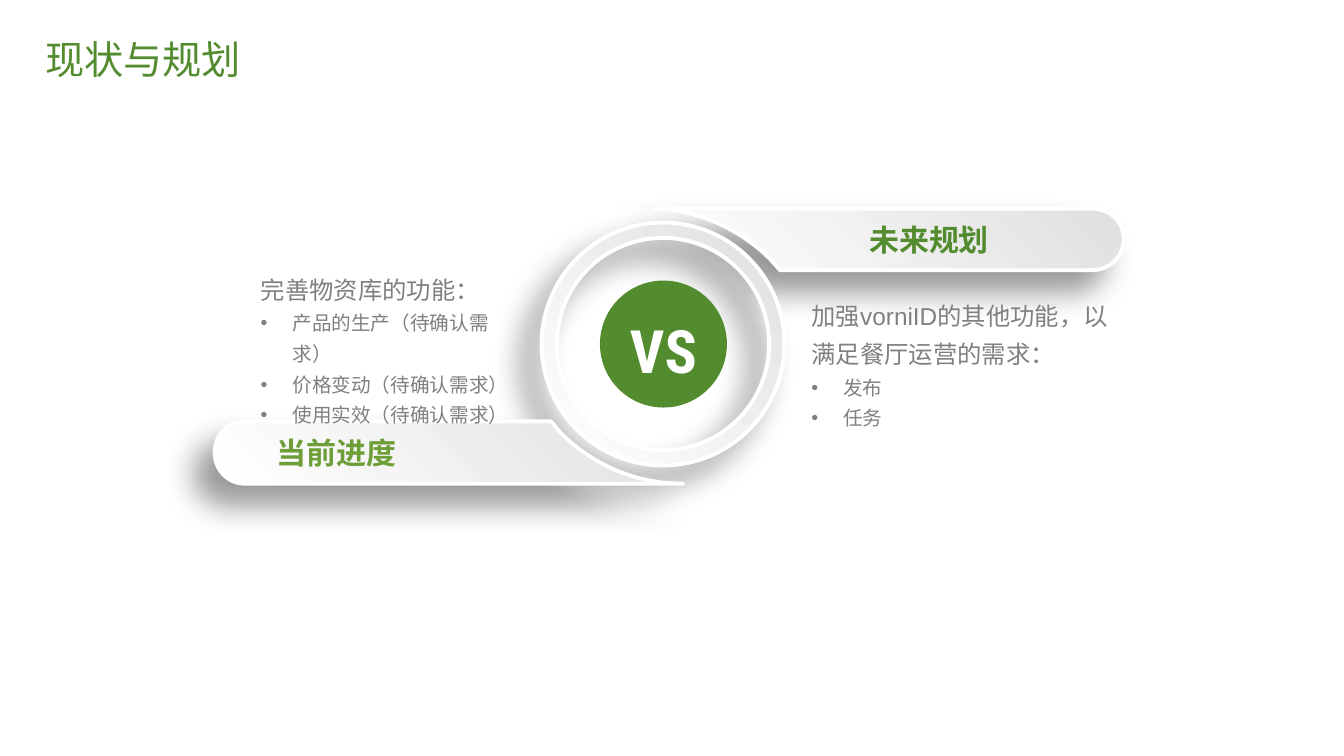
from dataclasses import dataclass

from lxml.etree import SubElement
from pptx import Presentation
from pptx.dml.color import RGBColor
from pptx.enum.shapes import MSO_SHAPE as Preset
from pptx.enum.text import MSO_ANCHOR as Anchor, MSO_AUTO_SIZE as AutoSize, PP_ALIGN as Align
from pptx.oxml.ns import qn
from pptx.shapes.base import BaseShape
from pptx.slide import Slide
from pptx.text.text import TextFrame, _Paragraph as Paragraph, _Run as Run
from pptx.util import Cm, Pt

COLORS = {
    "green": "538C2E",
    "light_green": "6D9E38",
    "gray": "808080",
    "silver": "E0E0E0",
    "white": "FFFFFF",
    "black": "000000",
}
CURVE_STEPS = 16
Point = tuple[float, float]


@dataclass(frozen=True)
class Tab:
    label: str
    color: str
    align: Align
    left_inset: float
    start: Point
    segments: tuple[tuple[Point, ...], ...]


@dataclass(frozen=True)
class Topic:
    placeholder: int
    box: tuple[float, float, float, float]
    heading: str
    items: tuple[str, ...]


FUTURE_TAB = Tab(
    "未来规划", "green", Align.CENTER, 2.38, (16.51, 5.26),
    (
        ((27.53, 5.26),),
        ((27.97, 5.26), (28.32, 5.59), (28.32, 6.02)),
        ((28.32, 6.45), (27.97, 6.81), (27.53, 6.81)),
        ((19.66, 6.81),),
        ((19.41, 6.53),),
        ((18.72, 5.84), (17.78, 5.38), (16.76, 5.26)),
    ),
)
CURRENT_TAB = Tab(
    "当前进度", "light_green", Align.LEFT, 1.57, (6.17, 10.62),
    (
        ((13.89, 10.62),),
        ((14.12, 10.9),),
        ((14.83, 11.61), (15.75, 12.07), (16.79, 12.17)),
        ((17.22, 12.19),),
        ((6.17, 12.19),),
        ((5.74, 12.19), (5.41, 11.84), (5.41, 11.4)),
        ((5.41, 10.97), (5.74, 10.62), (6.17, 10.62)),
    ),
)
FUTURE_TOPIC = Topic(
    2, (19.94, 7.37, 9.04, 4.22),
    "加强vorniID的其他功能，以满足餐厅运营的需求：",
    ("发布", "任务"),
)
CURRENT_TOPIC = Topic(
    1, (6.06, 6.71, 7.32, 4.24),
    "完善物资库的功能：",
    ("产品的生产（待确认需求）", "价格变动（待确认需求）", "使用实效（待确认需求）"),
)


def rgb(name: str) -> RGBColor:
    return RGBColor.from_string(COLORS[name])


def place(shape: BaseShape, left: float, top: float, width: float, height: float) -> None:
    shape.left, shape.top, shape.width, shape.height = map(Cm, (left, top, width, height))


def set_insets(frame: TextFrame, left: float, top: float, right: float, bottom: float) -> None:
    frame.margin_left, frame.margin_top = Cm(left), Cm(top)
    frame.margin_right, frame.margin_bottom = Cm(right), Cm(bottom)


def add_span(para: Paragraph, text: str, size: float, color: str,
             font: str = "Arial", bold: bool = False) -> Run:
    span = para.add_run()
    span.text = text
    span.font.name, span.font.size, span.font.bold = font, Pt(size), bold
    span.font.color.rgb = rgb(color)
    return span


def style_raised(shape: BaseShape) -> None:
    shape.fill.gradient()
    shape.fill.gradient_angle = 225
    for stop, position, color in zip(shape.fill.gradient_stops, (0, 1), ("silver", "white")):
        stop.position = position
        stop.color.rgb = rgb(color)
    shape.line.color.rgb = rgb("white")
    shape.line.width = Pt(2.75)
    shape.shadow.inherit = False
    effects = shape.element.spPr.find(qn("a:effectLst"))
    shadow = SubElement(effects, qn("a:outerShdw"), blurRad=str(Pt(22)), dist=str(Pt(20)),
                        dir=str(135 * 60000), algn="tr", rotWithShape="0")
    tint = SubElement(shadow, qn("a:srgbClr"), val=COLORS["black"])
    SubElement(tint, qn("a:alpha"), val="40000")


def curve(start: Point, first: Point, second: Point, end: Point) -> list[Point]:
    points = []
    for step in range(1, CURVE_STEPS + 1):
        t = step / CURVE_STEPS
        weights = ((1 - t) ** 3, 3 * t * (1 - t) ** 2, 3 * t * t * (1 - t), t ** 3)
        corners = (start, first, second, end)
        points.append((sum(w * x for w, (x, _) in zip(weights, corners)),
                       sum(w * y for w, (_, y) in zip(weights, corners))))
    return points


def add_tab(page: Slide, tab: Tab) -> None:
    points = [tab.start]
    for segment in tab.segments:
        points += curve(points[-1], *segment) if len(segment) == 3 else segment
    outline = [(Cm(x), Cm(y)) for x, y in points]
    builder = page.shapes.build_freeform(*outline[0])
    builder.add_line_segments(outline[1:], close=True)
    shape = builder.convert_to_shape()
    style_raised(shape)
    frame = shape.text_frame
    frame.word_wrap = True
    frame.vertical_anchor = Anchor.MIDDLE
    set_insets(frame, tab.left_inset, 0.18, 0.38, 0.18)
    para = frame.paragraphs[0]
    para.alignment = tab.align
    add_span(para, tab.label, 21.4, tab.color, bold=True)


def set_bullet(para: Paragraph, bulleted: bool) -> None:
    indent = Cm(0.8) if bulleted else 0
    settings = para._p.get_or_add_pPr()
    settings.set("marL", str(indent))
    settings.set("indent", str(-indent))
    if bulleted:
        SubElement(settings, qn("a:buFont"), typeface="Arial")
        SubElement(settings, qn("a:buChar"), char="•")
    else:
        SubElement(settings, qn("a:buNone"))


def add_topic(page: Slide, topic: Topic) -> None:
    body = page.placeholders[topic.placeholder]
    place(body, *topic.box)
    page.shapes.element.append(body.element)
    frame = body.text_frame
    frame.word_wrap = True
    frame.auto_size = AutoSize.NONE
    frame.vertical_anchor = Anchor.TOP
    set_insets(frame, 0.51, 0, 0.51, 0)
    for index, text in enumerate((topic.heading, *topic.items)):
        para = frame.add_paragraph() if index else frame.paragraphs[0]
        para.alignment = Align.LEFT
        para.line_spacing = 1.3
        para.space_before = para.space_after = Pt(0)
        set_bullet(para, index > 0)
        add_span(para, text, 14 if index else 17.4, "gray")


def add_title(page: Slide) -> None:
    title = page.shapes.title
    place(title, 0.89, 0.84, 29.21, 1.42)
    title.text_frame.auto_size = AutoSize.NONE
    title.text_frame.vertical_anchor = Anchor.MIDDLE
    para = title.text_frame.paragraphs[0]
    para.alignment = Align.LEFT
    para.line_spacing = 0.9
    add_span(para, "现状与规划", 28, "green", "Montserrat")


def add_ring(page: Slide) -> None:
    ring = page.shapes.add_shape(Preset.DONUT, Cm(13.65), Cm(5.61), Cm(6.12), Cm(6.12))
    ring.adjustments[0] = 0.063
    style_raised(ring)


def add_versus(page: Slide) -> None:
    disc = page.shapes.add_shape(Preset.OVAL, Cm(15.12), Cm(7.07), Cm(3.2), Cm(3.2))
    disc.shadow.inherit = False
    disc.fill.solid()
    disc.fill.fore_color.rgb = rgb("green")
    disc.line.fill.background()
    frame = disc.text_frame
    frame.vertical_anchor = Anchor.MIDDLE
    set_insets(frame, 0, 0, 0, 0)
    para = frame.paragraphs[0]
    para.alignment = Align.CENTER
    span = add_span(para, "vs", 53.4, "white", "Roboto Condensed", bold=True)
    span.font._element.set("cap", "small")


def main() -> None:
    deck = Presentation()
    deck.slide_width, deck.slide_height = Cm(33.87), Cm(19.05)
    page = deck.slides.add_slide(deck.slide_layouts[3])
    add_title(page)
    add_tab(page, FUTURE_TAB)
    add_ring(page)
    add_topic(page, FUTURE_TOPIC)
    add_versus(page)
    add_tab(page, CURRENT_TAB)
    add_topic(page, CURRENT_TOPIC)
    deck.save("out.pptx")


if __name__ == "__main__":
    main()
